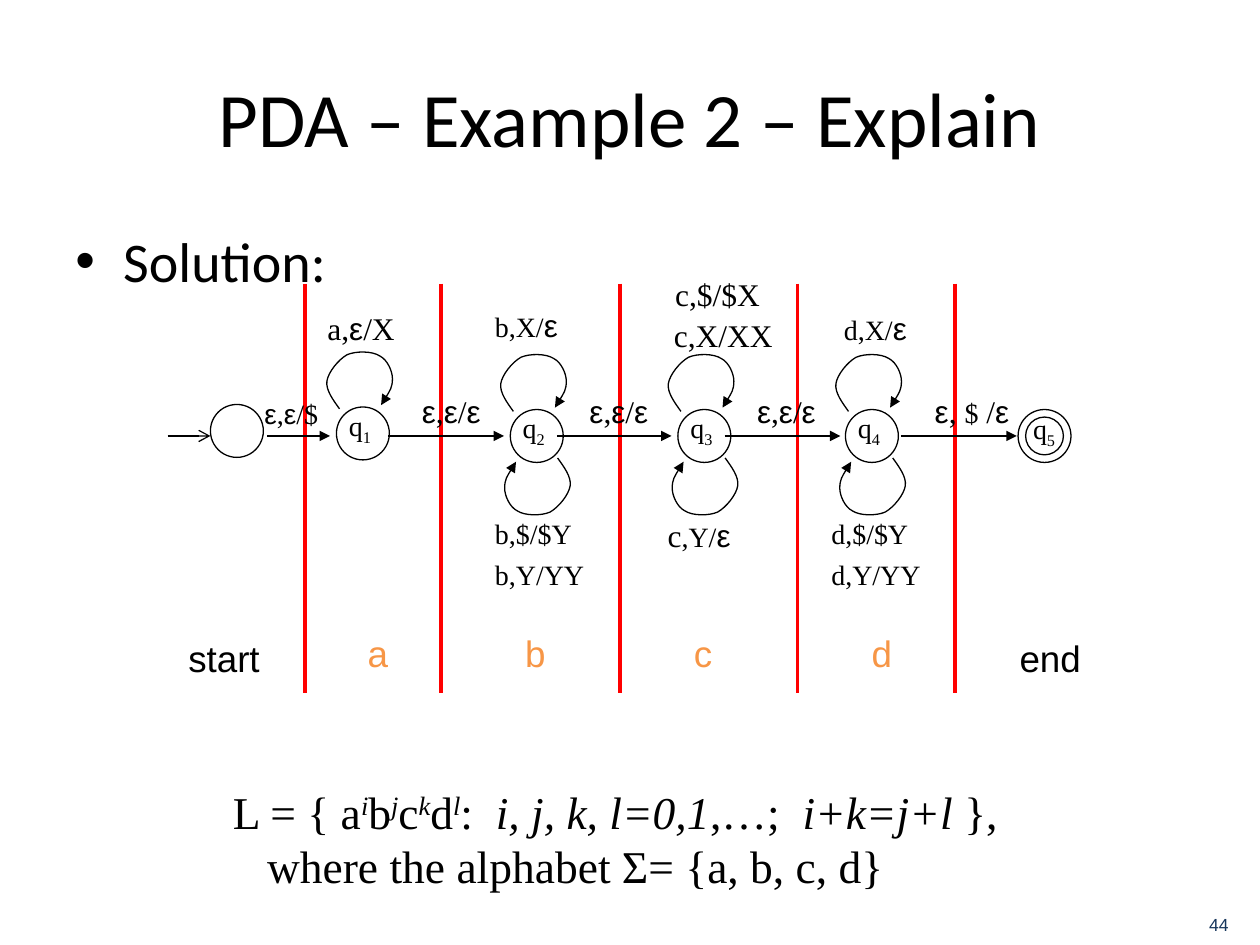
from dataclasses import dataclass
from itertools import groupby

from lxml import etree
from pptx import Presentation
from pptx.dml.color import RGBColor
from pptx.enum.shapes import MSO_CONNECTOR, MSO_SHAPE
from pptx.enum.text import MSO_ANCHOR, MSO_AUTO_SIZE, PP_ALIGN
from pptx.oxml.ns import qn
from pptx.util import Inches, Pt

STRAIGHT = MSO_CONNECTOR.STRAIGHT
OVAL = MSO_SHAPE.OVAL
LEFT, CENTER, RIGHT = PP_ALIGN.LEFT, PP_ALIGN.CENTER, PP_ALIGN.RIGHT
TOP, MIDDLE, BOTTOM = MSO_ANCHOR.TOP, MSO_ANCHOR.MIDDLE, MSO_ANCHOR.BOTTOM
GROW = MSO_AUTO_SIZE.SHAPE_TO_FIT_TEXT
ABOVE, BELOW = 270, 90  # rotation that puts a self-loop on that side of its state


@dataclass(frozen=True)
class Theme:
    ink: RGBColor = RGBColor(0, 0, 0)
    divider: RGBColor = RGBColor(0xFF, 0, 0)
    phase: RGBColor = RGBColor(0xF7, 0x96, 0x46)
    number: RGBColor = RGBColor(0x17, 0x36, 0x5C)
    heading_font: str = "Calibri"
    math_font: str = "Times New Roman"
    sans_font: str = "Arial"
    title: int = 44
    body: int = 32
    formula: int = 26
    caption: int = 21
    label: int = 18
    small: int = 16
    footer: int = 10


@dataclass(frozen=True)
class Run:
    text: str
    size: int
    italic: bool = False
    baseline: int = 0


# Self-loop opening to the left, around its own centre: start, then three points per curve
LOOP = [
    (-0.23, -0.16),
    (-0.16, -0.21), (-0.08, -0.27), (-0.01, -0.26),
    (0.06, -0.25), (0.16, -0.17), (0.2, -0.1),
    (0.23, -0.03), (0.23, 0.1), (0.19, 0.16),
    (0.16, 0.22), (0.07, 0.26), (0.01, 0.26),
    (-0.06, 0.26), (-0.12, 0.22), (-0.2, 0.17),
]


class SlideBuilder:
    def __init__(self, slide, theme):
        self.slide, self.theme = slide, theme
        self.shapes = slide.shapes

    def start_group(self):
        self.shapes = self.slide.shapes.add_group_shape().shapes

    def end_group(self):
        self.shapes = self.slide.shapes

    def style_font(self, run, font, size, color):
        run.font.name, run.font.size = font, Pt(size)
        run.font.color.rgb = color

    def title(self, text, left, top, width, height):
        title = self.slide.shapes.title
        title.left, title.top = Inches(left), Inches(top)
        title.width, title.height = Inches(width), Inches(height)
        title.text_frame.text = text
        title.text_frame.vertical_anchor = MIDDLE
        paragraph = title.text_frame.paragraphs[0]
        paragraph.alignment = CENTER
        self.style_font(paragraph.runs[0], self.theme.heading_font,
                        self.theme.title, self.theme.ink)

    def box(self, left, top, width, height, wrap=True):
        box = self.shapes.add_textbox(Inches(left), Inches(top),
                                      Inches(width), Inches(height))
        box.text_frame.word_wrap = wrap
        return box.text_frame

    def text(self, text, left, top, width, height, font, size, color,
             align=LEFT, anchor=TOP):
        frame = self.box(left, top, width, height)
        frame.text = text
        frame.vertical_anchor = anchor
        paragraph = frame.paragraphs[0]
        paragraph.alignment = align
        self.style_font(paragraph.runs[0], font, size, color)
        return frame

    def bullet(self, text, left, top, width, height):
        frame = self.text(text, left, top, width, height, self.theme.heading_font,
                          self.theme.body, self.theme.ink)
        properties = frame.paragraphs[0]._p.get_or_add_pPr()
        properties.set("marL", str(Inches(0.38)))
        properties.set("indent", str(Inches(-0.38)))
        etree.SubElement(properties, qn("a:buFont")).set("typeface", self.theme.sans_font)
        etree.SubElement(properties, qn("a:buChar")).set("char", "•")

    def runs(self, paragraph, parts):
        """Mathematical text; each ε is set in the sans font."""
        for part in parts:
            for is_epsilon, letters in groupby(part.text, lambda letter: letter == "ε"):
                run = paragraph.add_run()
                run.text = "".join(letters)
                font = self.theme.sans_font if is_epsilon else self.theme.math_font
                self.style_font(run, font, part.size, self.theme.ink)
                run.font.italic = part.italic
                if part.baseline:
                    run.font._element.set("baseline", str(part.baseline * 1000))

    def label(self, left, top, width, *parts):
        height = 0.4 if any(p.size == self.theme.label for p in parts) else 0.37
        frame = self.box(left, top, width, height, wrap=False)
        frame.auto_size = GROW
        self.runs(frame.paragraphs[0], parts)

    def stroke(self, shape, color, width, head=None):
        shape.line.color.rgb = color
        shape.line.width = Pt(width)
        if head:
            etree.SubElement(shape.line._get_or_add_ln(), qn("a:tailEnd")).set("type", head)

    def line(self, start, end, color, width=0.75, head=None):
        line = self.shapes.add_connector(
            STRAIGHT, *(Inches(value) for value in (*start, *end)))
        self.stroke(line, color, width, head)
        etree.SubElement(line._element.spPr, qn("a:effectLst"))

    def circle(self, x, y, diameter=0.42):
        circle = self.shapes.add_shape(
            OVAL, Inches(x - diameter / 2), Inches(y - diameter / 2),
            Inches(diameter), Inches(diameter))
        circle.rotation = 270
        circle.fill.background()
        circle.shadow.inherit = False
        self.stroke(circle, self.theme.ink, 0.75)

    def loop(self, x, y, side):
        points = [(Inches(x + dx), Inches(y + dy)) for dx, dy in LOOP]
        builder = self.shapes.build_freeform(*points[0])
        builder.add_line_segments(points[1:], close=False)
        loop = builder.convert_to_shape()
        # Every three segments become one cubic curve
        segments = list(loop._element.iter(qn("a:lnTo")))
        for first, second, third in zip(*[iter(segments)] * 3):
            first.tag = qn("a:cubicBezTo")
            for segment in (second, third):
                first.append(segment[0])
                segment.getparent().remove(segment)
        loop.rotation = side
        loop.fill.background()
        loop.shadow.inherit = False
        self.stroke(loop, self.theme.ink, 0.75, "triangle")


def main():
    presentation = Presentation()
    presentation.slide_width, presentation.slide_height = Inches(10), Inches(7.5)
    theme = Theme()
    page = SlideBuilder(presentation.slides.add_slide(presentation.slide_layouts[5]), theme)
    big, small, formula = theme.label, theme.small, theme.formula

    # Heading and bullet
    page.title("PDA – Example 2 – Explain", 0.5, 0.3, 9, 1.25)
    page.bullet("Solution:", 0.5, 1.75, 9, 4.95)

    # Language definition
    language = page.box(1.75, 6.17, 7.75, 1.17)
    powers = [Run(text, formula, index % 2 == 1, 30 * (index % 2))
              for index, text in enumerate(["L = { a", "i", "b", "j", "c", "k", "d", "l"])]
    conditions = [Run(text, formula, index % 2 == 1) for index, text in
                  enumerate([":  ", "i, j, k, l=0,1", ",…;  ", "i+k=j+l", " },"])]
    page.runs(language.paragraphs[0], powers + conditions)
    page.runs(language.add_paragraph(), [Run("   where the alphabet Σ= {a, b, c, d}", formula)])

    # Phase dividers
    page.start_group()
    for x in (3.5, 4.92, 6.33, 7.58, 2.42):
        page.line((x, 2.25), (x, 5.5), theme.divider, 2)
    page.end_group()

    # Phase captions
    for phase, left, top, width, color, align in [
            ("a", 2.75, 4.96, 0.5, theme.phase, CENTER),
            ("b", 4, 4.96, 0.5, theme.phase, CENTER),
            ("c", 5.33, 4.96, 0.5, theme.phase, CENTER),
            ("d", 6.75, 4.96, 0.5, theme.phase, CENTER),
            ("end", 7.92, 5, 0.83, theme.ink, CENTER),
            ("start", 1.08, 5, 1.08, theme.ink, RIGHT)]:
        page.text(phase, left, top, width, 0.45, theme.sans_font, theme.caption,
                  color, align).auto_size = GROW

    # Slide number
    number = page.text("44", 8.92, 7.02, 0.83, 0.4, theme.sans_font, theme.footer,
                       theme.number, RIGHT, BOTTOM)
    number.margin_left = number.margin_right = number.margin_top = number.margin_bottom = 0

    # States: start, q1 to q4 with loops, accepting q5
    page.start_group()
    axis = 3.46
    page.circle(1.88, 3.42)
    states = [(2.88, 3.44, 2.67)] + [(4.26 + 1.33 * i, axis, 4.05 + 1.33 * i) for i in range(3)]
    for x, y, _ in states:
        page.circle(x, y)
        page.loop(x - 0.03, y - 0.42, ABOVE)
    for x, y, _ in states[1:]:
        page.loop(x + 0.01, y + 0.41, BELOW)
    for diameter in (0.42, 0.3):
        page.circle(8.29, axis, diameter)
    for index, (_, y, left) in enumerate(states + [(8.29, 3.47, 8.1)], 1):
        page.label(left, y - 0.25, 0.38, Run("q", small), Run(str(index), small, baseline=-25))

    # Transitions between states
    page.line((1.33, axis), (1.67, axis), theme.ink, head="arrow")
    for start, end in [(2.12, 2.62), (3.08, 4), (4.42, 5.33), (5.75, 6.67), (7.15, 8.07)]:
        page.line((start, axis), (end, axis), theme.ink, head="triangle")
    page.label(2, 3.1, 0.65, Run("ε,ε/$", small))
    for i in range(3):
        page.label(3.25 + 1.33 * i, 3.06, 0.71, Run("ε,ε/ε", big))
    page.label(7.32, 3.06, 0.82, Run("ε, ", big), Run("$", small), Run(" /ε", big))

    # Loop labels
    page.label(2.5, 2.4, 0.77, Run("a,ε/X", big))
    page.label(5.26, 2.13, 0.88, Run("c,$/$X", big))
    page.label(5.25, 2.46, 1.01, Run("c,X/XX", big))
    page.label(5.2, 4.05, 0.72, Run("c", big), Run(",Y/", small), Run("ε", big))
    for letter, left, pop_left, pop_top, push_width in [("b", 3.83, 3.83, 2.38, 0.81),
                                                        ("d", 6.5, 6.6, 2.4, 0.82)]:
        page.label(pop_left, pop_top, 0.74, Run(f"{letter},X/", small), Run("ε", big))
        page.label(left, 4.05, push_width, Run(f"{letter},$/$Y", small))
        page.label(left, 4.38, 0.91, Run(f"{letter},Y/YY", small))
    page.end_group()

    presentation.save("out.pptx")


if __name__ == "__main__":
    main()
